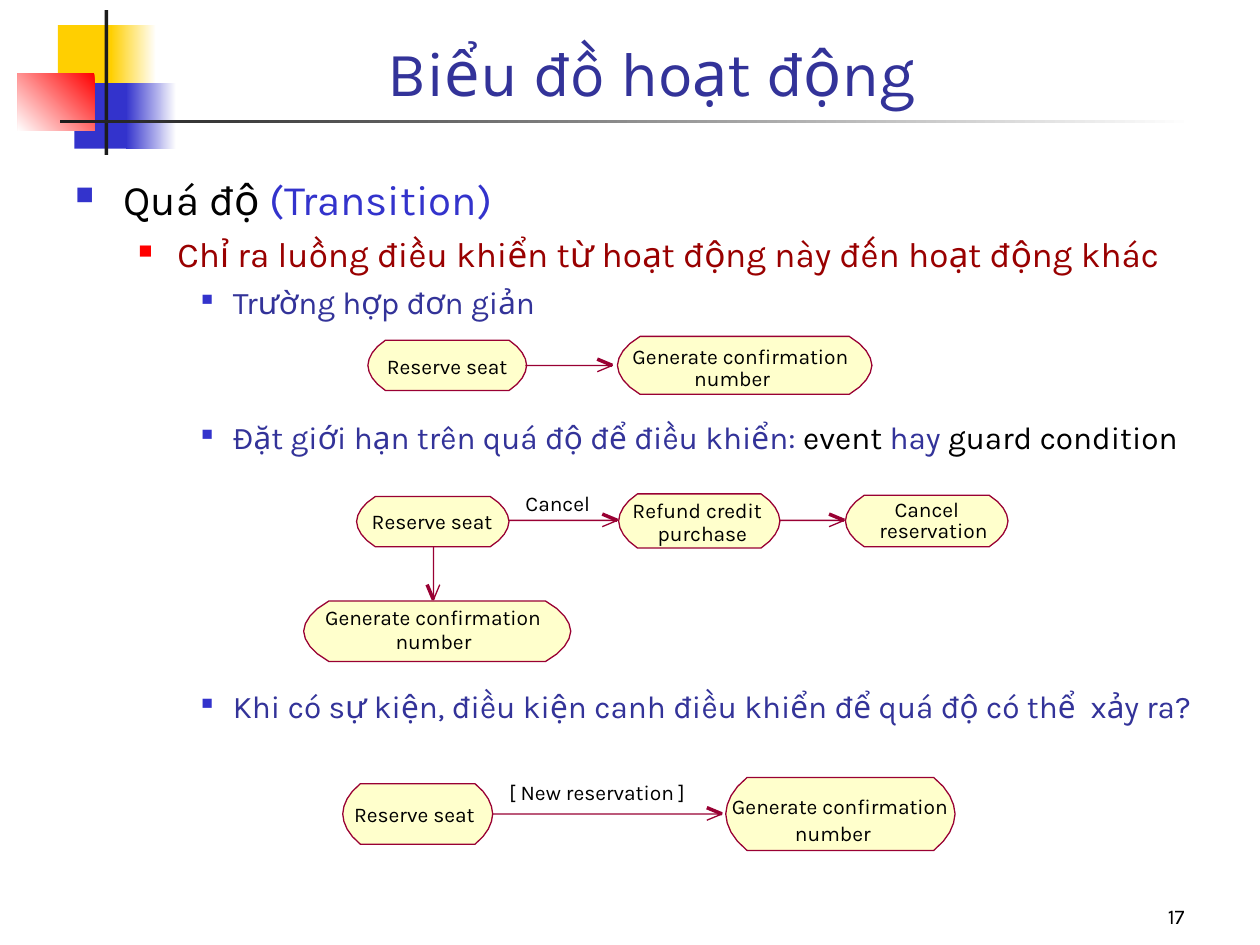
import lxml.etree
import pptx
import pptx.dml.color
import pptx.enum.shapes
import pptx.enum.text
import pptx.oxml.ns
import pptx.util

Inches = pptx.util.Inches
Pt = pptx.util.Pt
RGBColor = pptx.dml.color.RGBColor
PP_ALIGN = pptx.enum.text.PP_ALIGN
ANCHOR = pptx.enum.text.MSO_ANCHOR

WHITE = RGBColor(0xFF, 0xFF, 0xFF)
BLACK = RGBColor(0x00, 0x00, 0x00)
CHARCOAL = RGBColor(0x1C, 0x1C, 0x1C)
YELLOW = RGBColor(0xFF, 0xCF, 0x01)
BLUE = RGBColor(0x33, 0x33, 0xCC)
RED = RGBColor(0xFF, 0x00, 0x00)
NAVY = RGBColor(0x33, 0x33, 0x99)
MAROON = RGBColor(0x99, 0x00, 0x00)
CREAM = RGBColor(0xFF, 0xFF, 0xCC)
CRIMSON = RGBColor(0x99, 0x00, 0x33)

SIDE_CURVE = (1, 0.55, 0.25, 0.07, 0, 0.07, 0.25, 0.55, 1)
LEVELS = (
    (24, 0.38, 0.38, 6, BLUE, 60),
    (20, 0.81, 0.31, 5, RED, 55),
    (18, 1.25, 0.25, 4.5, BLUE, 50),
)
BULLETS = (
    (0, 0, (("Quá độ ", BLACK), ("(Transition)", BLUE))),
    (1, 0, (("Chỉ ra luồng điều khiển từ hoạt động này đến hoạt động khác", MAROON),)),
    (2, 0, (("Trường hợp đơn giản", NAVY),)),
    (2, 51, (("Đặt giới hạn trên quá độ để điều khiển: ", NAVY), ("event", BLACK),
             (" hay ", NAVY), ("guard condition", BLACK))),
    (2, 127.5, (("Khi có sự kiện, điều kiện canh điều khiển để quá độ có thể  xảy ra?", NAVY),)),
)
DECORATION = (
    (0.46, 0.2, 0.48, 0.52, YELLOW, None, 0),
    (0.88, 0.2, 0.36, 0.52, WHITE, YELLOW, 180),
    (0.59, 0.66, 0.46, 0.52, BLUE, None, 0),
    (1, 0.66, 0.4, 0.52, WHITE, BLUE, 180),
    (0.14, 0.58, 0.61, 0.46, RED, WHITE, 225),
    (0.83, 0.08, 0.03, 1.15, CHARCOAL, None, 0),
    (0.48, 0.95, 9, 0.03, WHITE, CHARCOAL, 180),
)
RESERVE = "Reserve seat", 0.99
GENERATE = "Generate confirmation", 1.83
NUMBER = "number", 0.63
DIAGRAMS = (
    {
        "nodes": ((2.92, 2.7, 1.26, 0.4, 0.14), (4.9, 2.67, 2.02, 0.46, 0.18)),
        "arrows": ((4.17, 2.9, 4.86, 2.9),),
        "labels": ((3.07, 2.81, *RESERVE), (5.02, 2.73, *GENERATE), (5.51, 2.9, *NUMBER)),
    },
    {
        "nodes": ((2.83, 3.94, 1.21, 0.4, 0.15), (4.91, 3.92, 1.28, 0.43, 0.15),
                  (6.71, 3.93, 1.29, 0.41, 0.15), (2.41, 4.77, 2.12, 0.48, 0.2)),
        "arrows": ((4.04, 4.13, 4.9, 4.13), (6.19, 4.13, 6.7, 4.13), (3.44, 4.34, 3.44, 4.76)),
        "labels": ((2.95, 4.04, *RESERVE), (5.02, 3.95, "Refund credit", 1.1),
                   (5.22, 4.13, "purchase", 0.73), (7.1, 3.94, "Cancel", 0.56),
                   (6.98, 4.11, "reservation", 0.89), (2.58, 4.8, *GENERATE),
                   (3.14, 4.99, *NUMBER), (4.17, 3.89, "Cancel", 0.52)),
    },
    {
        "nodes": ((2.72, 6.22, 1.19, 0.48, 0.14), (5.76, 6.17, 1.82, 0.58, 0.17)),
        "arrows": ((3.91, 6.46, 5.73, 6.46),),
        "labels": ((2.81, 6.36, *RESERVE), (5.81, 6.3, *GENERATE), (6.31, 6.51, *NUMBER),
                   (4.04, 6.19, "[ New reservation ]", 1.48)),
    },
)


class Sketch:
    font_name = "Karla"
    label_size = 12

    def __init__(self, page):
        self.page = page

    def style(self, font, size, color):
        font.name = self.font_name
        font.size = Pt(size)
        font.color.rgb = color

    def title(self, text):
        holder = self.page.shapes.title
        holder.left, holder.top = Inches(1.26), Inches(0.08)
        holder.width, holder.height = Inches(7.82), Inches(0.84)
        frame = holder.text_frame
        frame.text = text
        frame.vertical_anchor = ANCHOR.BOTTOM
        para = frame.paragraphs[0]
        para.alignment = PP_ALIGN.CENTER
        self.style(para.font, 36, NAVY)

    def block(self, left, top, width, height, color, end_color, angle):
        box = self.page.shapes.add_shape(
            pptx.enum.shapes.MSO_SHAPE.RECTANGLE,
            Inches(left), Inches(top), Inches(width), Inches(height))
        box.shadow.inherit = False
        box.line.fill.background()
        if end_color is None:
            box.fill.solid()
            box.fill.fore_color.rgb = color
        else:
            box.fill.gradient()
            box.fill.gradient_angle = angle
            for stop, stop_color in zip(box.fill.gradient_stops, (color, end_color)):
                stop.color.rgb = stop_color

    def bullets(self, items):
        frame = self.page.shapes.add_textbox(
            Inches(0.5), Inches(1.33), Inches(9.29), Inches(5.5)).text_frame
        frame.word_wrap = True
        for index, (level, gap, spans) in enumerate(items):
            size, margin, hang, before, bullet_color, percent = LEVELS[level]
            para = frame.add_paragraph() if index else frame.paragraphs[0]
            para.level = level
            para.space_before = Pt(before + gap)
            props = para._p.get_or_add_pPr()
            props.set("marL", str(Inches(margin)))
            props.set("indent", str(-Inches(hang)))
            qn = pptx.oxml.ns.qn
            holder = lxml.etree.SubElement(props, qn("a:buClr"))
            lxml.etree.SubElement(holder, qn("a:srgbClr"), val=str(bullet_color))
            lxml.etree.SubElement(props, qn("a:buSzPct"), val=str(percent * 1000))
            lxml.etree.SubElement(props, qn("a:buChar"), char="■")
            for text, color in spans:
                span = para.add_run()
                span.text = text
                self.style(span.font, size, color)

    def outline(self, group, points, closed):
        corners = [(Inches(x), Inches(y)) for x, y in points]
        builder = group.shapes.build_freeform(*corners[0])
        builder.add_line_segments(corners[1:], close=closed)
        shape = builder.convert_to_shape()
        shape.shadow.inherit = False
        shape.line.color.rgb = CRIMSON
        shape.line.width = Pt(0)
        shape.fill.background()
        return shape

    def node(self, group, left, top, width, height, inset):
        step = height / (len(SIDE_CURVE) - 1)
        side = [(inset * bend, top + step * row) for row, bend in enumerate(SIDE_CURVE)]
        points = [(left + x, y) for x, y in side]
        points += [(left + width - x, y) for x, y in reversed(side)]
        shape = self.outline(group, points, True)
        shape.fill.solid()
        shape.fill.fore_color.rgb = CREAM

    def arrow(self, group, x1, y1, x2, y2):
        length, spread = 0.12, 0.05
        across, down = (1, 0) if y1 == y2 else (0, 1)
        base_x, base_y = x2 - length * across, y2 - length * down
        barb = base_x + spread * down, base_y + spread * across
        self.outline(group, [(x1, y1), (x2, y2), barb], False)
        line = group.shapes.add_connector(
            pptx.enum.shapes.MSO_CONNECTOR.STRAIGHT, Inches(x2), Inches(y2),
            Inches(base_x - spread * down), Inches(base_y - spread * across))
        line.line.color.rgb = CRIMSON
        line.line.width = Pt(0)
        lxml.etree.SubElement(line._element.spPr, pptx.oxml.ns.qn("a:effectLst"))

    def label(self, group, left, top, text, width):
        frame = group.shapes.add_textbox(
            Inches(left), Inches(top), Inches(width), Inches(0.2)).text_frame
        frame.margin_left = frame.margin_right = frame.margin_top = frame.margin_bottom = 0
        frame.word_wrap = False
        frame.auto_size = pptx.enum.text.MSO_AUTO_SIZE.SHAPE_TO_FIT_TEXT
        frame.text = text
        self.style(frame.paragraphs[0].font, self.label_size, BLACK)

    def diagram(self, nodes, arrows, labels):
        group = self.page.shapes.add_group_shape()
        for draw, items in ((self.node, nodes), (self.arrow, arrows), (self.label, labels)):
            for item in items:
                draw(group, *item)

    def page_number(self, text):
        frame = self.page.shapes.add_textbox(
            Inches(7.42), Inches(6.92), Inches(2.08), Inches(0.5)).text_frame
        frame.word_wrap = True
        frame.vertical_anchor = ANCHOR.BOTTOM
        frame.text = text
        para = frame.paragraphs[0]
        para.alignment = PP_ALIGN.RIGHT
        self.style(para.font, self.label_size, BLACK)


def main():
    deck = pptx.Presentation()
    deck.slide_width, deck.slide_height = Inches(10), Inches(7.5)
    sketch = Sketch(deck.slides.add_slide(deck.slide_layouts.get_by_name("Title Only")))
    for block in DECORATION:
        sketch.block(*block)
    sketch.title("Biểu đồ hoạt động")
    sketch.bullets(BULLETS)
    for diagram in DIAGRAMS:
        sketch.diagram(**diagram)
    sketch.page_number("17")
    deck.save("out.pptx")


if __name__ == "__main__":
    main()
